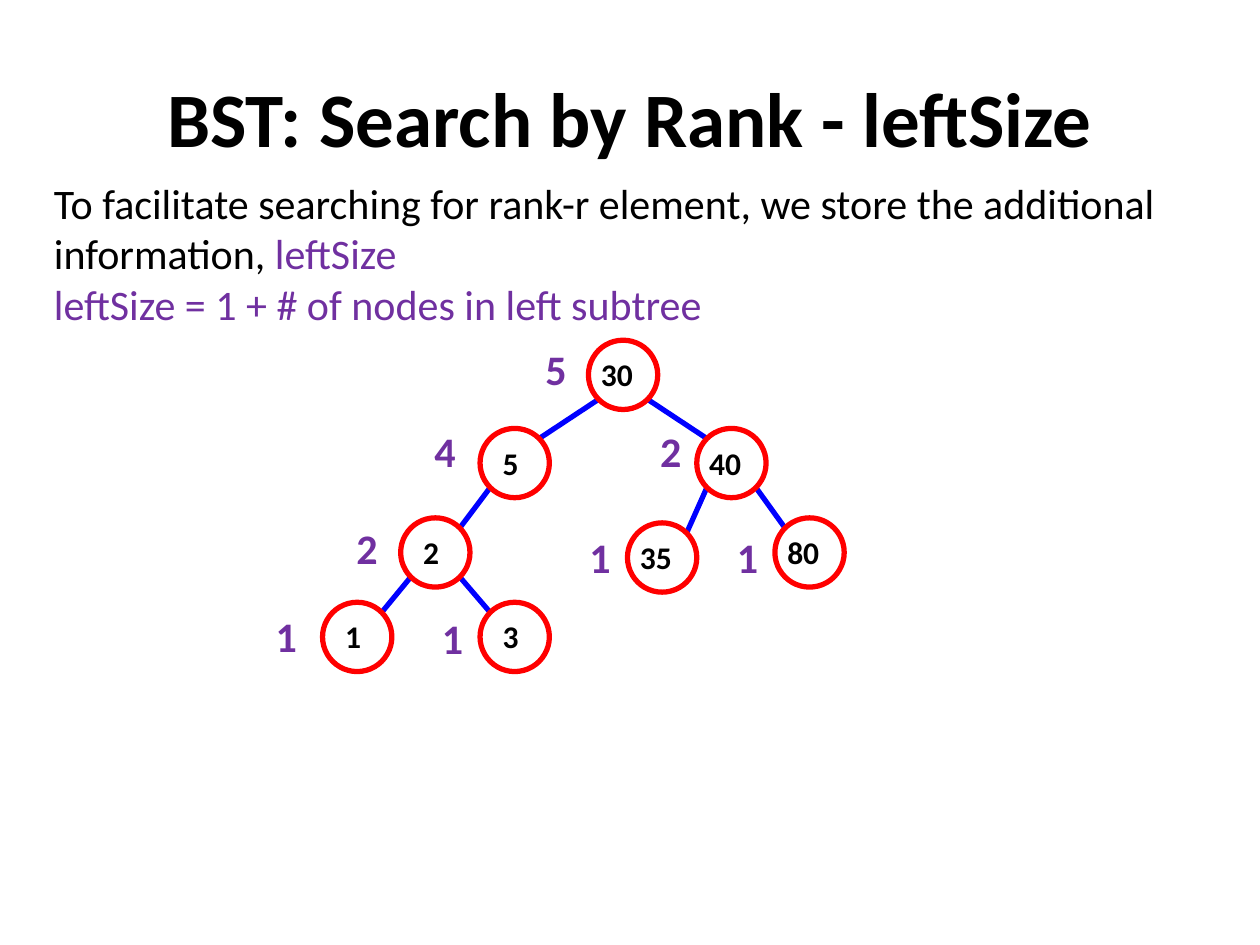
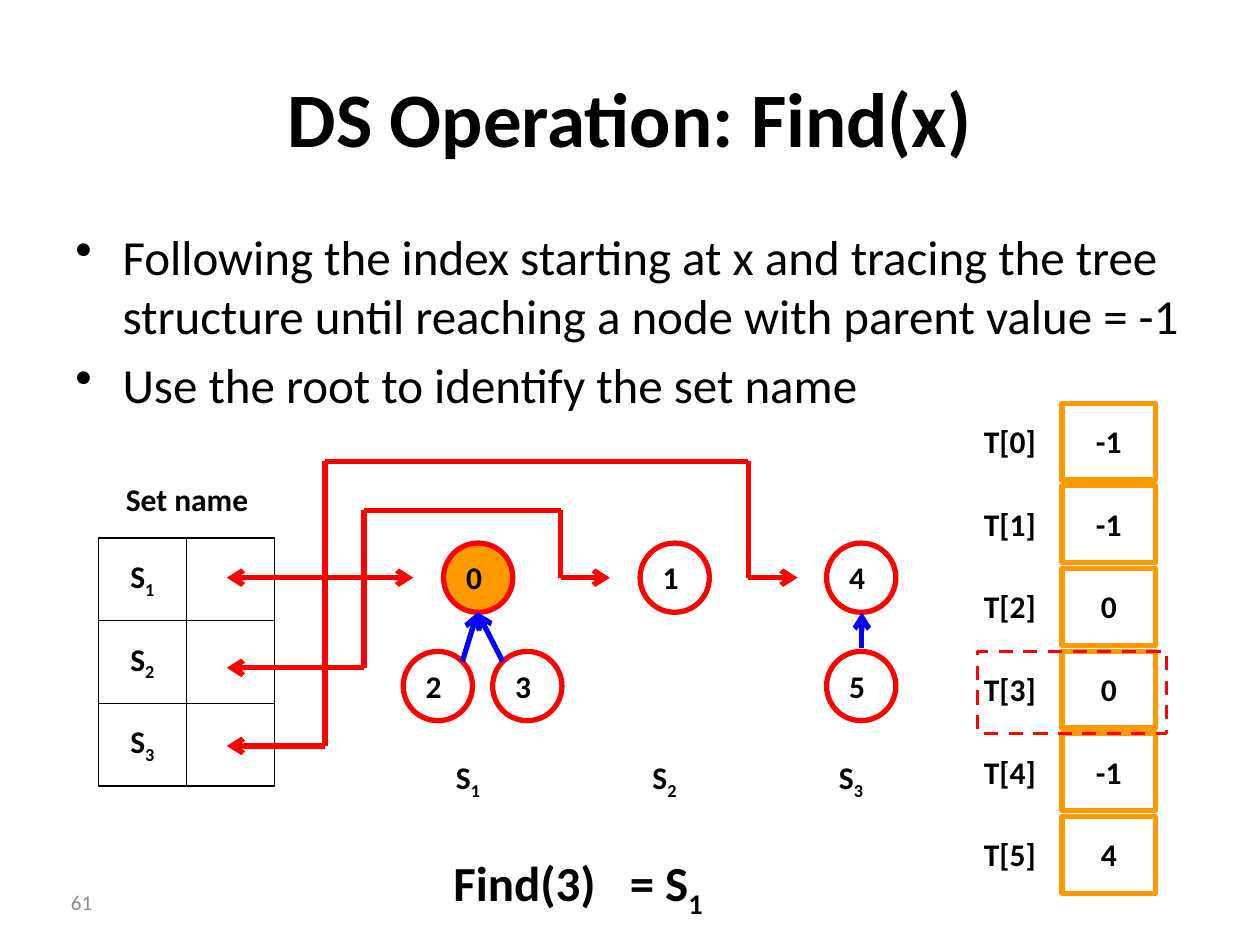
from itertools import pairwise

from lxml import etree
from pptx import Presentation
from pptx.dml.color import RGBColor
from pptx.enum.dml import MSO_LINE
from pptx.enum.shapes import MSO_CONNECTOR, MSO_SHAPE
from pptx.enum.text import MSO_ANCHOR, PP_ALIGN
from pptx.oxml.ns import qn
from pptx.util import Inches, Pt

LEFT, CENTER, RIGHT = PP_ALIGN.LEFT, PP_ALIGN.CENTER, PP_ALIGN.RIGHT
TOP, MIDDLE = MSO_ANCHOR.TOP, MSO_ANCHOR.MIDDLE
OVAL, RECTANGLE = MSO_SHAPE.OVAL, MSO_SHAPE.RECTANGLE
STRAIGHT = MSO_CONNECTOR.STRAIGHT
DASH = MSO_LINE.DASH

FONT = "Calibri"
COLORS = {
    "black": "000000",
    "gray": "8C8C8C",
    "red": "FF0000",
    "blue": "0000FF",
    "purple": "7030A0",
    "orange": "FF9900",
}
NODE_SIZE = 0.55
NODE_RADIUS = NODE_SIZE / 2
CORNER = NODE_RADIUS * 0.5 ** 0.5
ROW_PITCH = 0.656


def color(name):
    return RGBColor.from_string(COLORS[name])


def style_paragraph(para, size, bold=False, ink="black", align=LEFT):
    para.alignment = align
    para.font.name = FONT
    para.font.size = Pt(size)
    para.font.bold = bold
    para.font.color.rgb = color(ink)


def write_subscripted(para, text):
    base, _, subscript = text.partition("_")
    para.add_run().text = base
    if subscript:
        span = para.add_run()
        span.text = subscript
        span.font._element.set("baseline", "-25000")


def set_frame(frame, vertical_inset=0.05, anchor=TOP, wrap=True):
    frame.word_wrap = wrap
    frame.vertical_anchor = anchor
    frame.margin_left = frame.margin_right = Inches(0.1)
    frame.margin_top = frame.margin_bottom = Inches(vertical_inset)


def add_box(slide, left, top, width, height, **frame_options):
    box = slide.shapes.add_textbox(
        Inches(left), Inches(top), Inches(width), Inches(height))
    set_frame(box.text_frame, **frame_options)
    return box.text_frame


def add_text(slide, text, area, size=18, bold=True, ink="black", align=LEFT,
             **frame_options):
    para = add_box(slide, *area, **frame_options).paragraphs[0]
    style_paragraph(para, size, bold, ink, align)
    write_subscripted(para, text)


def add_label(slide, text, area, align=LEFT):
    add_text(slide, text, area, align=align, vertical_inset=0.15)


def add_title(slide, text):
    add_text(slide, text, (0.5, 0.3, 9, 1.25), 44, align=CENTER, anchor=MIDDLE)


def add_outline(slide, kind, area, line, width=3, fill=None):
    shape = slide.shapes.add_shape(kind, *map(Inches, area))
    shape.shadow.inherit = False
    if fill:
        shape.fill.solid()
        shape.fill.fore_color.rgb = color(fill)
    else:
        shape.fill.background()
    shape.line.color.rgb = color(line)
    shape.line.width = Pt(width)
    return shape


def add_cell(slide, area, line, width, text=""):
    cell = add_outline(slide, RECTANGLE, area, line, width)
    if text:
        set_frame(cell.text_frame, 0.15)
        para = cell.text_frame.paragraphs[0]
        style_paragraph(para, 18, True, align=CENTER)
        write_subscripted(para, text)


def add_node(slide, text, left, top, fill=None):
    add_outline(slide, OVAL, (left, top, NODE_SIZE, NODE_SIZE), "red", fill=fill)
    shift = 0.08 if len(text) == 1 else 0
    add_label(slide, text, (left + shift, top - 0.03, 0.62, 0.61))


def add_line(slide, start, end, ink, head=False, tail=False):
    line = slide.shapes.add_connector(STRAIGHT, *map(Inches, (*start, *end)))
    line.line.color.rgb = color(ink)
    line.line.width = Pt(3)
    for tag, wanted in (("a:headEnd", head), ("a:tailEnd", tail)):
        if wanted:
            etree.SubElement(line.line._get_or_add_ln(), qn(tag), type="arrow")
    etree.SubElement(line._element.spPr, qn("a:effectLst"))


def add_wire(slide, points):
    segments = list(pairwise(points))
    for index, (start, end) in enumerate(segments):
        add_line(slide, start, end, "red",
                 head=index == 0, tail=index == len(segments) - 1)


def add_tree_edge(slide, parent, child):
    side = 1 if child[0] > parent[0] else -1
    start = (parent[0] + NODE_RADIUS + side * CORNER,
             parent[1] + NODE_RADIUS + CORNER)
    end = (child[0] + NODE_RADIUS - side * CORNER,
           child[1] + NODE_RADIUS - CORNER)
    add_line(slide, start, end, "blue")


def add_bullets(slide, area, items):
    frame = add_box(slide, *area)
    for index, item in enumerate(items):
        para = frame.add_paragraph() if index else frame.paragraphs[0]
        style_paragraph(para, 28)
        para.space_before = Pt(5.6)
        para.add_run().text = item
        properties = para._p.get_or_add_pPr()
        properties.set("marL", str(Inches(0.375)))
        properties.set("indent", str(-Inches(0.375)))
        bullet = etree.Element(qn("a:buChar"), char="•")
        properties.find(qn("a:defRPr")).addprevious(bullet)


def build_rank_slide(slide):
    add_title(slide, "BST: Search by Rank - leftSize")
    nodes = {
        "30": (4.67, 2.7), "5": (3.81, 3.4), "40": (5.53, 3.4),
        "2": (3.18, 4.11), "35": (4.98, 4.15), "80": (6.15, 4.11),
        "1": (2.56, 4.78), "3": (3.81, 4.78),
    }
    edges = [("30", "5"), ("30", "40"), ("5", "2"), ("40", "35"),
             ("40", "80"), ("2", "1"), ("2", "3")]
    left_sizes = [
        ("5", 4.23, 2.68), ("4", 3.35, 3.33), ("2", 2.73, 4.1),
        ("1", 2.09, 4.8), ("1", 3.41, 4.81), ("2", 5.14, 3.33),
        ("1", 4.58, 4.17), ("1", 5.75, 4.17),
    ]
    for parent, child in edges:
        add_tree_edge(slide, nodes[parent], nodes[child])
    for key, place in nodes.items():
        add_node(slide, key, *place)
    for count, left, top in left_sizes:
        add_text(slide, count, (left, top, 0.4, 0.5), 24, ink="purple")

    frame = add_box(slide, 0.33, 1.36, 9.33, 1.31)
    intro = frame.paragraphs[0]
    style_paragraph(intro, 24)
    intro.add_run().text = ("To facilitate searching for rank-r element, "
                            "we store the additional information, ")
    term = intro.add_run()
    term.text = "leftSize"
    term.font.color.rgb = color("purple")
    definition = frame.add_paragraph()
    style_paragraph(definition, 24, ink="purple")
    definition.add_run().text = "leftSize = 1 + # of nodes in left subtree"


def add_parent_array(slide, parents):
    for index, parent in enumerate(parents):
        top = 3.2 + index * ROW_PITCH
        add_label(slide, f"T[{index}]", (7.6, top, 0.83, 0.61), CENTER)
        add_cell(slide, (8.43, top, 0.74, 0.61), "orange", 3, parent)


def add_set_table(slide, names):
    add_label(slide, "Set name", (0.78, 3.66, 1.41, 0.61), CENTER)
    for row, name in enumerate(names):
        top = 4.27 + row * ROW_PITCH
        add_cell(slide, (0.78, top, 0.7, ROW_PITCH), "black", 0.75, name)
        add_cell(slide, (1.48, top, 0.7, ROW_PITCH), "black", 0.75)


def build_find_slide(slide):
    add_title(slide, "DS Operation: Find(x)")
    add_bullets(slide, (0.5, 1.75, 9, 4.95), [
        "Following the index starting at x and tracing the tree structure "
        "until reaching a node with parent value = -1",
        "Use the root to identify the set name",
    ])
    add_parent_array(slide, ["-1", "-1", "0", "0", "-1", "4"])
    set_names = ["S_1", "S_2", "S_3"]
    add_set_table(slide, set_names)

    root_top, child_top = 4.31, 5.17
    root_lefts = [3.52, 5.08, 6.56]
    for key, name, left in zip("014", set_names, root_lefts):
        add_node(slide, key, left, root_top, "orange" if key == "0" else None)
        add_label(slide, name, (left, 5.87, 0.62, 0.66))
    for key, left in (("2", 3.2), ("3", 3.91), ("5", 6.56)):
        add_node(slide, key, left, child_top)

    root_middle = root_top + NODE_RADIUS
    add_wire(slide, [(1.8, root_middle), (3.28, root_middle)])
    for row_middle, bend, rise, drop, tip in (
            (5.3, 2.89, 4.05, 4.45, 4.84), (5.92, 2.58, 3.66, 5.94, 6.33)):
        add_wire(slide, [(1.8, row_middle), (bend, row_middle), (bend, rise),
                         (drop, rise), (drop, root_middle), (tip, root_middle)])
    for start, end in (((3.99, 5.25), (3.79, 4.86)),
                       ((3.67, 5.25), (3.79, 4.86)),
                       ((6.84, 5.14), (6.84, 4.86))):
        add_line(slide, start, end, "blue", tail=True)

    highlight = add_outline(slide, RECTANGLE, (7.76, 5.17, 1.5, 0.65), "red", 2)
    highlight.line.dash_style = DASH
    add_text(slide, "Find(3)", (3.5, 6.72, 1.43, 0.57), 28, wrap=False)
    add_text(slide, "= S_1", (4.9, 6.72, 0.81, 0.57), 28, wrap=False)
    add_text(slide, "61", (0.1, 6.96, 0.73, 0.4), 12, False, "gray", RIGHT,
             anchor=MIDDLE)


def main():
    deck = Presentation()
    deck.slide_width, deck.slide_height = Inches(10), Inches(7.5)
    blank = deck.slide_layouts[6]
    for build in (build_rank_slide, build_find_slide):
        build(deck.slides.add_slide(blank))
    deck.save("out.pptx")


if __name__ == "__main__":
    main()
